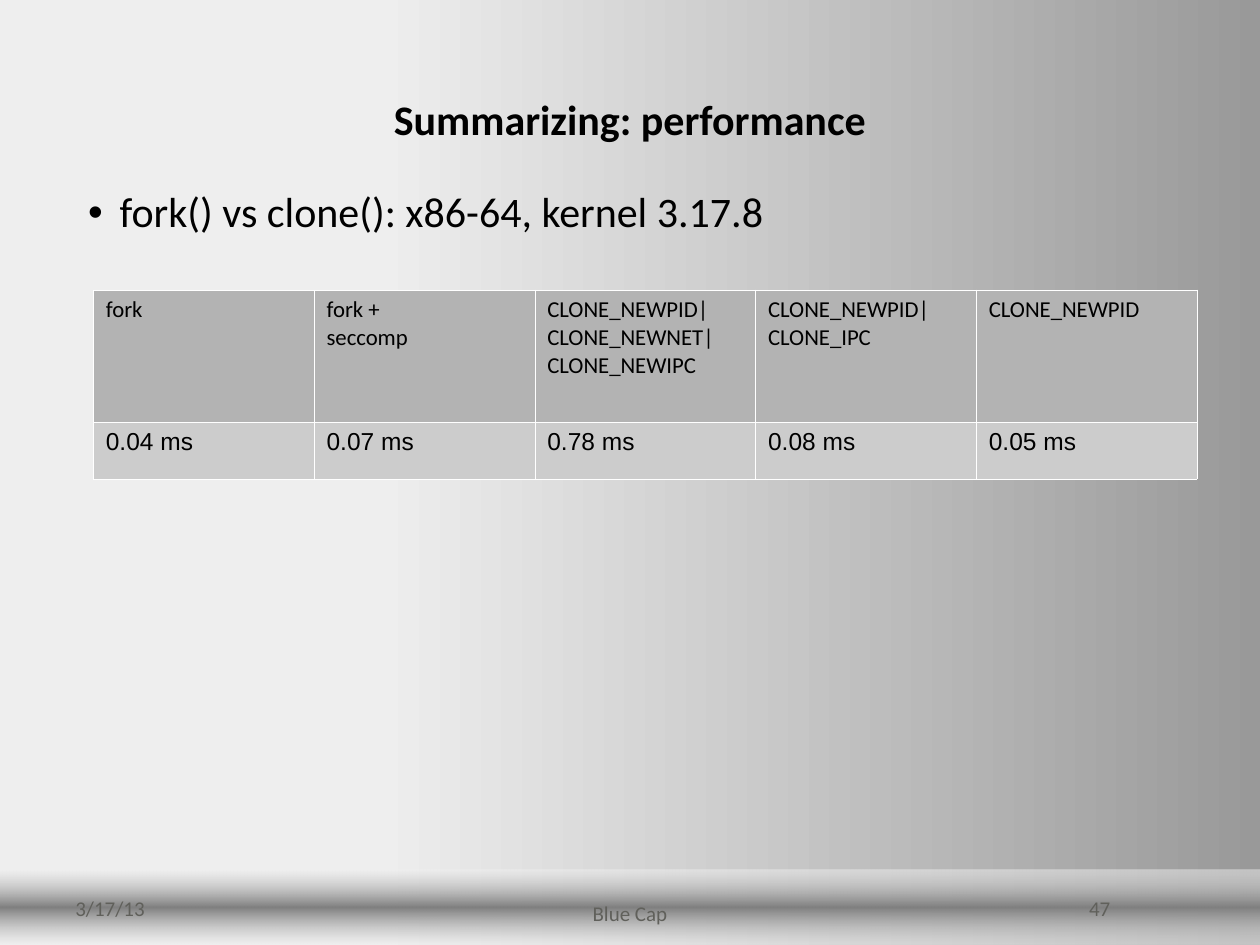
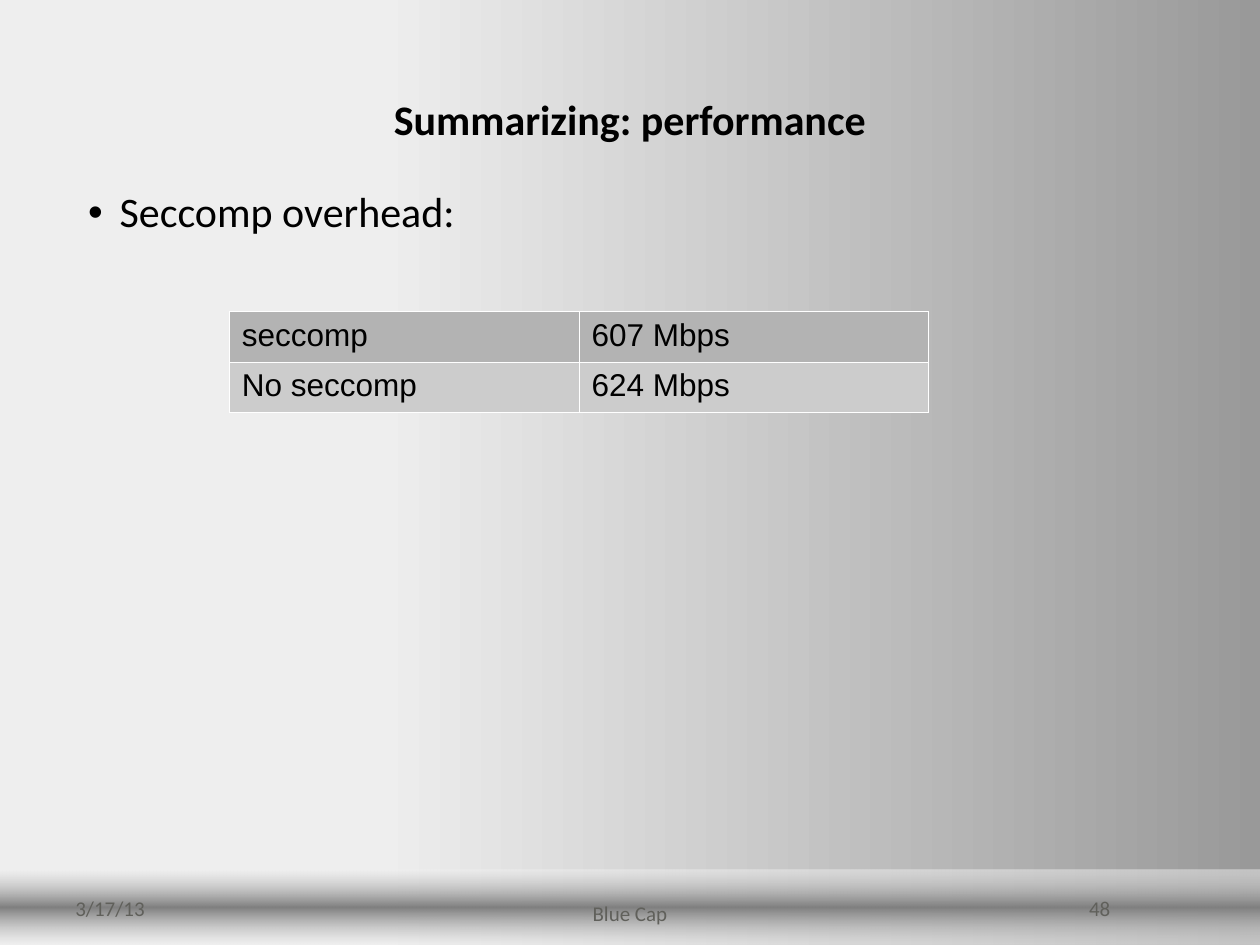
from lxml import etree
from pptx import Presentation
from pptx.dml.color import RGBColor
from pptx.enum import shapes, text
from pptx.oxml import ns
from pptx.util import Inches, Pt

COLORS = {
    "black": "000000",
    "footer": "60605B",
    "light": "EEEEEE",
    "dark": "999999",
    "band_edge": "F2F2F2",
    "band_middle": "808080",
    "header_row": "B3B3B3",
    "value_row": "CCCCCC",
    "border": "FFFFFF",
}
BODY_FONT = "Calibri"
VALUE_FONT = "Arial"
TITLE = "Summarizing: performance"
DATE = "3/17/13"
COMPANY = "Blue Cap"


def rgb(name):
    return RGBColor.from_string(COLORS[name])


def add_child(parent, tag, **attributes):
    return etree.SubElement(parent, ns.qn(tag), **attributes)


def add_color(parent, name):
    return add_child(parent, "a:srgbClr", val=COLORS[name])


def set_gradient(fill, owner, stops, angle):
    fill.gradient()
    gradient = owner.xpath(".//a:gradFill")[0]
    for child in list(gradient):
        gradient.remove(child)
    stop_list = add_child(gradient, "a:gsLst")
    for position, name, opacity in stops:
        stop = add_child(stop_list, "a:gs", pos=str(position * 1000))
        color = add_color(stop, name)
        if opacity < 100:
            add_child(color, "a:alpha", val=str(opacity * 1000))
    add_child(gradient, "a:lin", ang=str(angle * 60000), scaled="0")


def style_font(font, size, color="black", name=BODY_FONT, bold=False):
    font.size = Pt(size)
    font.name = name
    font.bold = bold
    font.color.rgb = rgb(color)


def add_text(page, area, words, size, color="black", bold=False,
             align=text.PP_ALIGN.LEFT, anchor=text.MSO_ANCHOR.MIDDLE,
             margins=(0.1, 0.05)):
    box = page.shapes.add_textbox(*map(Inches, area))
    frame = box.text_frame
    frame.word_wrap = True
    frame.vertical_anchor = anchor
    frame.margin_left = frame.margin_right = Inches(margins[0])
    frame.margin_top = frame.margin_bottom = Inches(margins[1])
    frame.text = words
    para = frame.paragraphs[0]
    para.alignment = align
    for span in para.runs:
        style_font(span.font, size, color, bold=bold)
    return para


def add_band(page):
    band = page.shapes.add_shape(shapes.MSO_SHAPE.RECTANGLE, Inches(0),
                                 Inches(6.9), Inches(10), Inches(0.6))
    band.shadow.inherit = False
    band.line.fill.background()
    stops = [(0, "band_edge", 49), (50, "band_middle", 100), (100, "band_edge", 49)]
    set_gradient(band.fill, band._element, stops, 90)


def add_footer(page, number):
    add_text(page, (0.5, 7.01, 2.33, 0.4), DATE, 12, "footer")
    add_text(page, (7.17, 7.01, 1.74, 0.4), str(number), 12, "footer",
             align=text.PP_ALIGN.RIGHT)
    add_text(page, (2, 7.1, 6, 0.29), COMPANY, 12, "footer",
             align=text.PP_ALIGN.CENTER)


def add_title(page):
    para = add_text(page, (0.5, 0.15, 9, 1.1), TITLE, 24, bold=True,
                    align=text.PP_ALIGN.CENTER, anchor=text.MSO_ANCHOR.BOTTOM,
                    margins=(0.2, 0.1))
    para.line_spacing = 0.9


def add_bullet(page, words):
    para = add_text(page, (0.5, 1.4, 9, 5.35), words, 24,
                    anchor=text.MSO_ANCHOR.TOP, margins=(0.2, 0.1))
    para.line_spacing = 0.95
    para.space_after = Pt(10)
    properties = para._p.get_or_add_pPr()
    properties.set("marL", str(Inches(0.25)))
    properties.set("indent", str(-Inches(0.25)))
    add_color(add_child(properties, "a:buClr"), "black")
    add_child(properties, "a:buFont", typeface="Arial")
    add_child(properties, "a:buChar", char="•")


def set_borders(cell):
    properties = cell._tc.get_or_add_tcPr()
    for index, side in enumerate(("a:lnL", "a:lnR", "a:lnT", "a:lnB")):
        line = add_child(properties, side, w=str(Pt(0.06)))
        add_color(add_child(line, "a:solidFill"), "border")
        properties.insert(index, line)


def add_table(page, left, top, width, heights, rows, row_fonts):
    columns = len(rows[0])
    frame = page.shapes.add_table(len(rows), columns, Inches(left), Inches(top),
                                  Inches(width), Inches(sum(heights)))
    table = frame.table
    table.first_row = table.horz_banding = False
    for column in table.columns:
        column.width = Inches(width / columns)
    fills = ("header_row", "value_row")
    for row, height, values, fill, (name, size) in zip(
            table.rows, heights, rows, fills, row_fonts):
        row.height = Inches(height)
        for cell, value in zip(row.cells, values):
            cell.text_frame.text = value
            cell.fill.solid()
            cell.fill.fore_color.rgb = rgb(fill)
            set_borders(cell)
            for para in cell.text_frame.paragraphs:
                for span in para.runs:
                    style_font(span.font, size, name=name)


def add_page(deck, number):
    page = deck.slides.add_slide(deck.slide_layouts[6])
    set_gradient(page.background.fill, page._element,
                 [(30, "light", 100), (100, "dark", 100)], 0)
    add_band(page)
    add_footer(page, number)
    add_title(page)
    return page


def main():
    deck = Presentation()
    deck.slide_width = Inches(10)
    deck.slide_height = Inches(7.5)

    page = add_page(deck, 47)
    clone_times = [
        ["fork", "fork +\nseccomp", "CLONE_NEWPID|CLONE_NEWNET|CLONE_NEWIPC",
         "CLONE_NEWPID|CLONE_IPC", "CLONE_NEWPID"],
        ["0.04 ms", "0.07 ms", "0.78 ms", "0.08 ms", "0.05 ms"],
    ]
    add_table(page, 0.74, 2.3, 8.76, (1.05, 0.45), clone_times,
              [(BODY_FONT, 13), (VALUE_FONT, 14)])
    add_bullet(page, "fork() vs clone(): x86-64, kernel 3.17.8")

    page = add_page(deck, 48)
    throughput = [["seccomp", "607 Mbps"], ["No seccomp", "624 Mbps"]]
    add_table(page, 1.82, 2.47, 5.55, (0.38, 0.38), throughput,
              [(VALUE_FONT, 18)] * 2)
    add_bullet(page, "Seccomp overhead:")

    deck.save("out.pptx")


if __name__ == "__main__":
    main()
